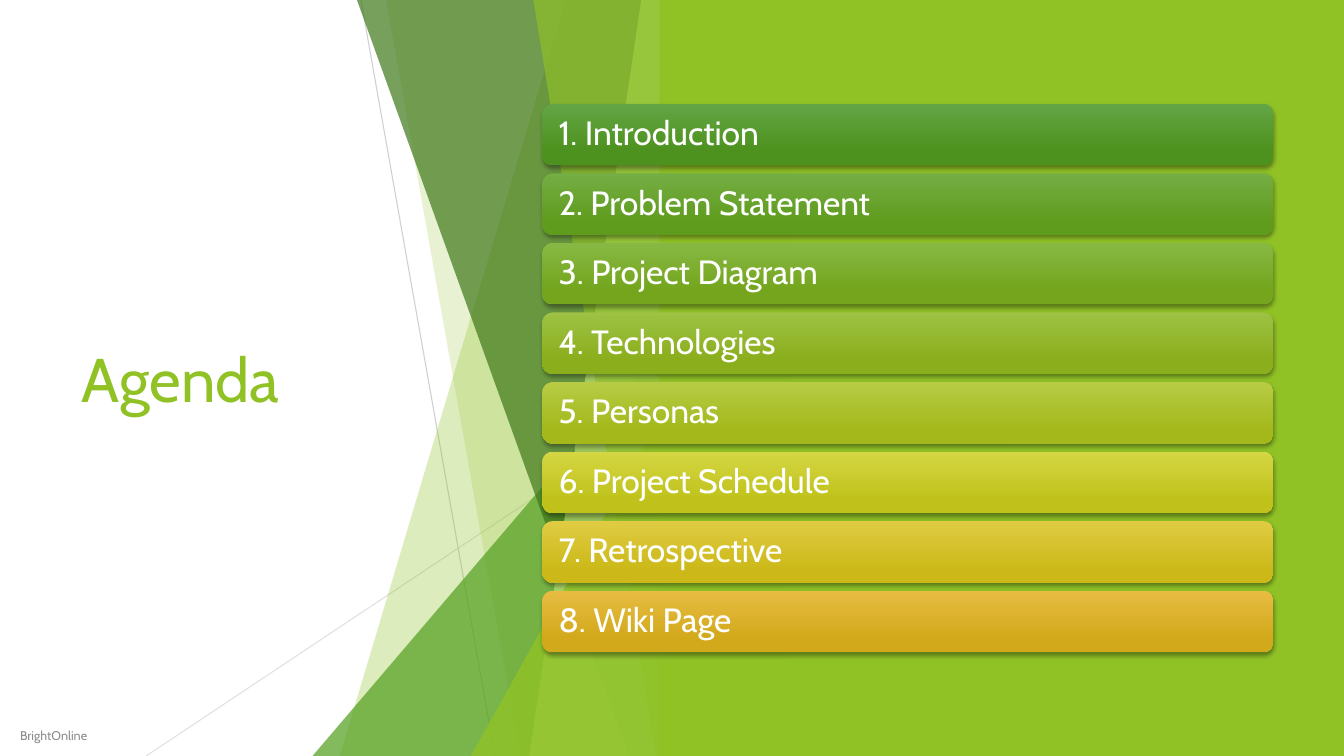
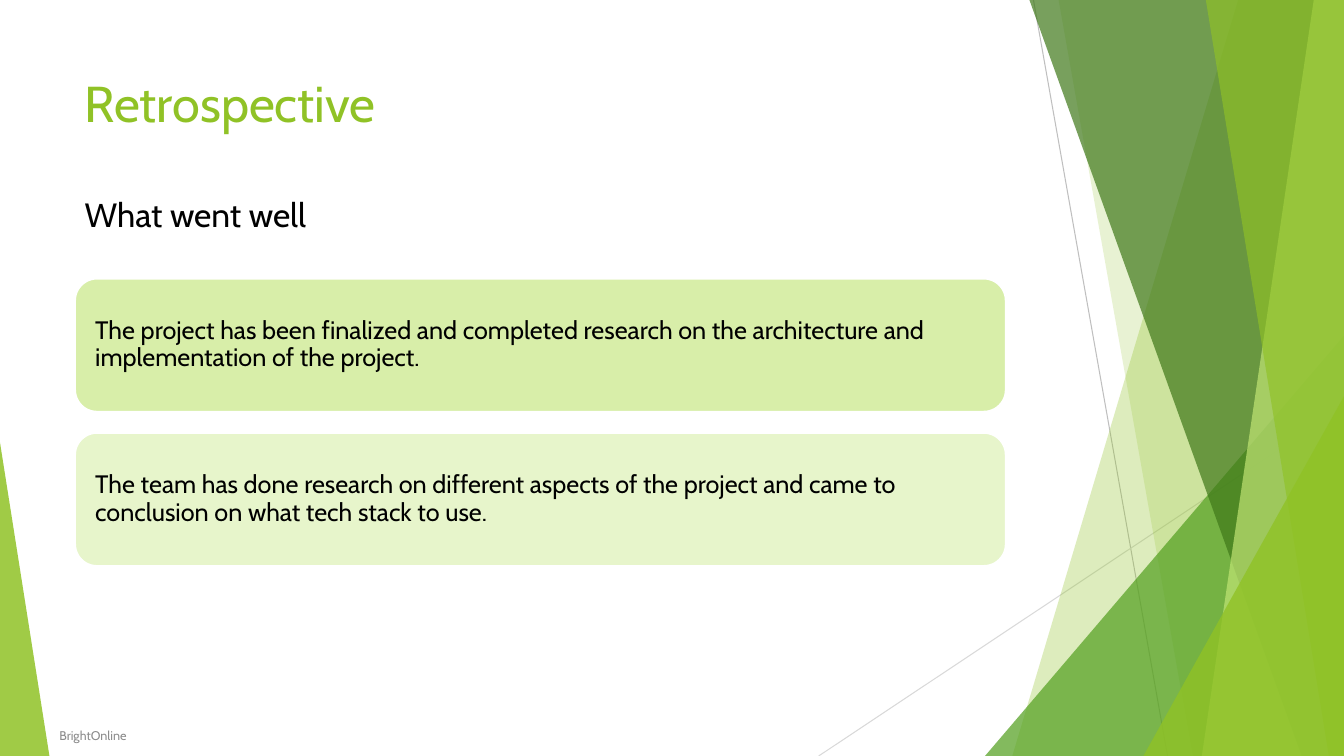
from dataclasses import dataclass

from lxml.etree import SubElement
from pptx import Presentation
from pptx.dml.color import RGBColor
from pptx.enum.shapes import MSO_CONNECTOR, MSO_SHAPE
from pptx.enum.text import MSO_ANCHOR, MSO_AUTO_SIZE, PP_ALIGN
from pptx.oxml.ns import qn
from pptx.util import Inches, Pt


@dataclass(frozen=True)
class Theme:
    font: str = "Cabin"
    lime: str = "90C226"
    green: str = "54A021"
    forest: str = "3F7819"
    pale: str = "C0E474"
    mint: str = "D5EDA2"
    white: str = "FFFFFF"
    black: str = "000000"
    grey: str = "8C8C8C"
    line_dark: str = "BFBFBF"
    line_light: str = "D9D9D9"
    agenda_title: int = 44
    title: int = 36
    heading: int = 24
    body: int = 18
    footer: int = 9


theme = Theme()
WIDTH, HEIGHT = 13.33, 7.5


def write(shape, text, size, color, anchor=MSO_ANCHOR.MIDDLE, inset=0.1):
    """Fill a shape with one left-aligned paragraph."""
    frame = shape.text_frame
    frame.word_wrap = True
    frame.auto_size = MSO_AUTO_SIZE.NONE
    frame.vertical_anchor = anchor
    frame.margin_left = frame.margin_right = Inches(inset)
    frame.margin_top = frame.margin_bottom = Inches(0.05)
    paragraph = frame.paragraphs[0]
    paragraph.alignment = PP_ALIGN.LEFT
    paragraph.line_spacing = 0.9 if shape.shape_type == 1 else 1.0
    run = paragraph.add_run()
    run.text = text
    run.font.name = theme.font
    run.font.size = Pt(size)
    run.font.color.rgb = RGBColor.from_string(color)


def paint(shape, color, alpha=100):
    """Give a borderless shape, or a connector, one colour without shadow."""
    properties = shape._element.spPr
    if hasattr(shape, "fill"):
        shape.shadow.inherit = False
        shape.line.fill.background()
        fill = shape.fill
    else:
        shape.line.width = Pt(0.75)
        SubElement(properties, qn("a:effectLst"))
        fill = shape.line.fill
    fill.solid()
    fill.fore_color.rgb = RGBColor.from_string(color)
    if alpha < 100:
        for tint in properties.iter(qn("a:srgbClr")):
            SubElement(tint, qn("a:alpha"), val=str(alpha * 1000))


prs = Presentation()
prs.slide_width, prs.slide_height = Inches(WIDTH), Inches(HEIGHT)
title_only = prs.slide_layouts[5]
agenda = prs.slides.add_slide(title_only)
retrospective = prs.slides.add_slide(title_only)

# Facets: a wedge has top and bottom x, a corner has left and top
facets = [
    ("wedge", 12.28, 10.04, theme.lime, 30),
    ("wedge", 10.5, 11.83, theme.lime, 20),
    ("corner", 9.77, 3.33, theme.green, 72),
    ("wedge", 10.21, 12.91, theme.forest, 70),
    ("wedge", 13.03, 11.92, theme.pale, 70),
    ("wedge", 11.96, 13.18, theme.lime, 65),
    ("corner", 11.34, 3.93, theme.lime, 80),
]
# Rays: x1, y1, x2, y2, colour, and opacity on the agenda
rays = [
    (10.25, 0, 11.58, HEIGHT, theme.line_dark, 75),
    (WIDTH, 4.03, 8.12, HEIGHT, theme.line_light, 80),
]

for slide, shift in ((agenda, -6.67), (retrospective, 0)):
    right = WIDTH + shift
    for x1, y1, x2, y2, color, opacity in rays:
        ray = slide.shapes.add_connector(
            MSO_CONNECTOR.STRAIGHT, Inches(x1 + shift), Inches(y1),
            Inches(x2 + shift), Inches(y2))
        paint(ray, color, opacity if slide is agenda else 100)
    for kind, first, second, color, alpha in facets:
        start = first + shift
        if kind == "wedge":
            outline = slide.shapes.build_freeform(Inches(start), Inches(0))
            corners = [(right, 0), (right, HEIGHT), (second + shift, HEIGHT)]
            outline.add_line_segments(
                [(Inches(x), Inches(y)) for x, y in corners], close=True)
            facet = outline.convert_to_shape()
        else:
            facet = slide.shapes.add_shape(
                MSO_SHAPE.ISOSCELES_TRIANGLE, Inches(start), Inches(second),
                Inches(right - start), Inches(HEIGHT - second))
            facet.adjustments[0] = 1
        paint(facet, color, alpha)

# Colour areas particular to each slide
panel = agenda.shapes.add_shape(
    MSO_SHAPE.RECTANGLE, Inches(6.54), 0, Inches(WIDTH - 6.54), Inches(HEIGHT))
paint(panel, theme.lime)
left_corner = retrospective.shapes.add_shape(
    MSO_SHAPE.ISOSCELES_TRIANGLE, 0, Inches(4.39), Inches(0.49), Inches(3.11))
left_corner.adjustments[0] = 0
paint(left_corner, theme.lime, 85)

# Titles and footers
headings = [
    (agenda, "Agenda", (0.71, 1.51, 3.88, 4.48), theme.agenda_title,
     MSO_ANCHOR.MIDDLE, 0.1),
    (retrospective, "Retrospective", (0.74, 0.67, 9.4, 1.44), theme.title,
     MSO_ANCHOR.TOP, 0.49),
]
for slide, text, box, size, anchor, footer_left in headings:
    title = slide.shapes.title
    title.left, title.top, title.width, title.height = map(Inches, box)
    write(title, text, size, theme.lime, anchor=anchor)
    footer = slide.shapes.add_textbox(
        Inches(footer_left), Inches(7.1), Inches(6.89), Inches(0.4))
    write(footer, "BrightOnline", theme.footer, theme.grey)

# Agenda bars
topics = [
    ("Introduction", "63A545", "4D921E"),
    ("Problem Statement", "74AE44", "5F9C1E"),
    ("Project Diagram", "87B844", "74A51D"),
    ("Technologies", "9DC244", "8BAE1D"),
    ("Personas", "B7CC44", "A4B81C"),
    ("Project Schedule", "D4D643", "C0C21B"),
    ("Retrospective", "E0CC43", "CCB919"),
    ("Wiki Page", "E7BC43", "D2A91B"),
]
for number, (topic, light, dark) in enumerate(topics, start=1):
    bar = agenda.shapes.add_shape(
        MSO_SHAPE.ROUNDED_RECTANGLE, Inches(5.38),
        Inches(1.03 + 0.69 * (number - 1)), Inches(7.25), Inches(0.61))
    paint(bar, dark)
    bar.fill.gradient()
    bar.fill.gradient_angle = 270
    for stop, color, position in zip(
            bar.fill.gradient_stops, (light, dark), (0, 0.78)):
        stop.color.rgb = RGBColor.from_string(color)
        stop.position = position
    effects = bar._element.spPr.find(qn("a:effectLst"))
    shadow = SubElement(
        effects, qn("a:outerShdw"), blurRad=str(Pt(3)), dist=str(Pt(2)),
        dir="5400000", rotWithShape="0")
    shade = SubElement(shadow, qn("a:srgbClr"), val=theme.black)
    SubElement(shade, qn("a:alpha"), val="35000")
    write(bar, f"{number}. {topic}", theme.heading, theme.white, inset=0.13)

# What went well
subheading = retrospective.shapes.add_textbox(
    Inches(0.74), Inches(1.87), Inches(3.67), Inches(0.5))
write(subheading, "What went well", theme.heading, theme.black,
      anchor=MSO_ANCHOR.TOP)
successes = [
    ("The project has been finalized and completed research on the "
     "architecture and implementation of the project.", 92),
    ("The team has done research on different aspects of the project and "
     "came to conclusion on what tech stack to use.", 55),
]
for row, (success, alpha) in enumerate(successes):
    card = retrospective.shapes.add_shape(
        MSO_SHAPE.ROUNDED_RECTANGLE, Inches(0.74), Inches(2.76 + 1.53 * row),
        Inches(9.24), Inches(1.33))
    paint(card, theme.mint, alpha)
    card.line.color.rgb = RGBColor.from_string(theme.white)
    card.line.width = Pt(2)
    write(card, success, theme.body, theme.black, inset=0.14)

prs.save("out.pptx")
